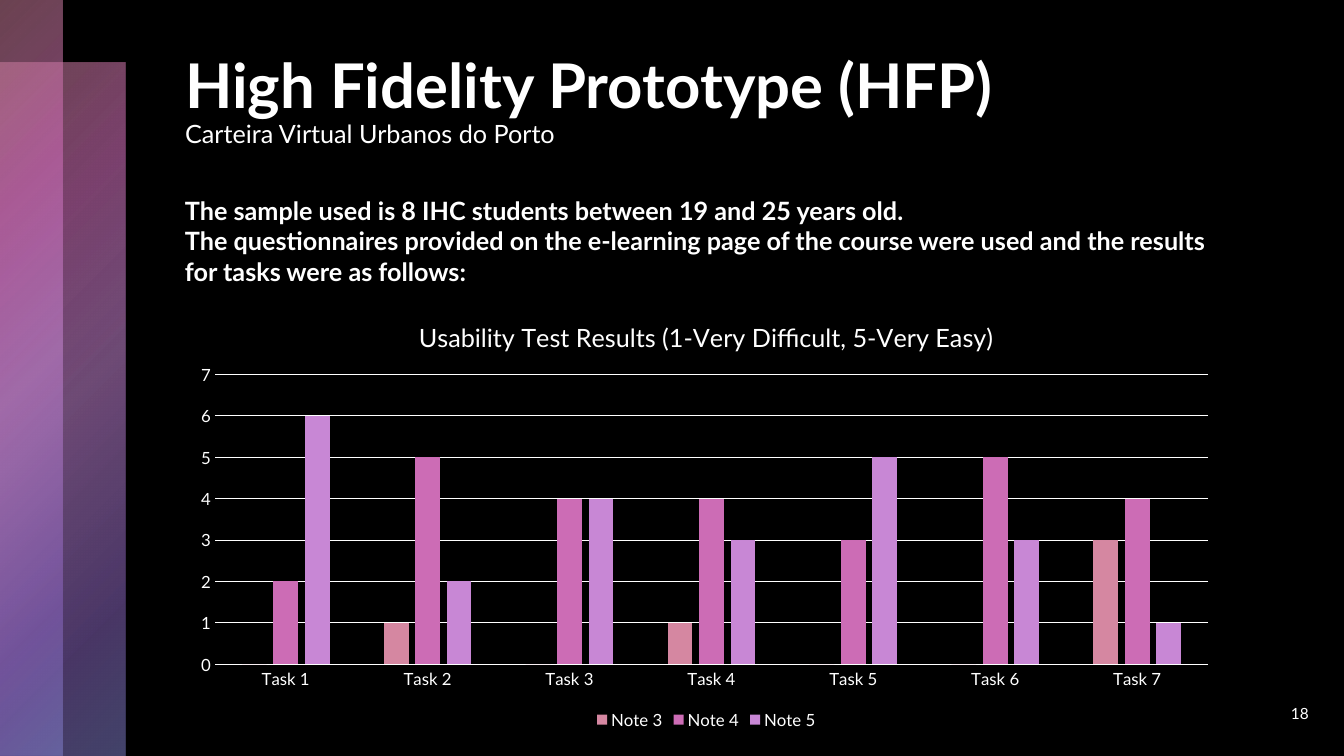
import pptx
import pptx.chart.data
import pptx.dml.color
import pptx.enum.chart
import pptx.enum.shapes
import pptx.enum.text
import pptx.oxml
import pptx.oxml.ns
import pptx.util

Pt = pptx.util.Pt
WHITE = "FFFFFF"
NS = pptx.oxml.ns.nsdecls("a", "c")


def rgb(value):
    return pptx.dml.color.RGBColor.from_string(value)


def style(font, size, bold=False):
    font.name = "Lato"
    font.size = Pt(size)
    font.bold = bold
    font.color.rgb = rgb(WHITE)


prs = pptx.Presentation()
prs.slide_width, prs.slide_height = Pt(960), Pt(540)
s = prs.slides.add_slide(prs.slide_layouts[5])
s.background.fill.solid()
s.background.fill.fore_color.rgb = rgb("000000")

# Two overlapping translucent strips on the left edge
stops = [(0, "D587A1", 50), (25, "CC6CB5", 60), (50, "C887D5", 55),
         (81, "946CCC", 50), (99, "8787D5", 50)]
stops_xml = "".join(
    f'<a:gs pos="{pos * 1000}"><a:srgbClr val="{color}">'
    f'<a:alpha val="{alpha * 1000}"/></a:srgbClr></a:gs>'
    for pos, color, alpha in stops)
for top, width in [(45, 90), (0, 45)]:
    sp = s.shapes.add_shape(pptx.enum.shapes.MSO_SHAPE.RECTANGLE,
                            0, Pt(top), Pt(width), Pt(540 - top))
    sp.shadow.inherit = False
    sp.line.fill.background()
    sp.fill.background()
    spPr = sp.element.spPr
    gradient = pptx.oxml.parse_xml(
        f'<a:gradFill {NS} rotWithShape="1"><a:gsLst>{stops_xml}</a:gsLst>'
        '<a:path path="circle"><a:fillToRect r="100000" b="100000"/></a:path></a:gradFill>')
    spPr.replace(spPr.find(pptx.oxml.ns.qn("a:noFill")), gradient)

# Title with subtitle line
title = s.shapes.title
title.left, title.top, title.width, title.height = Pt(125), Pt(36), Pt(747), Pt(122)
tf = title.text_frame
tf.auto_size = pptx.enum.text.MSO_AUTO_SIZE.NONE
tf.vertical_anchor = pptx.enum.text.MSO_ANCHOR.TOP
tf.text = "High Fidelity Prototype (HFP)\vCarteira Virtual Urbanos do Porto"
p = tf.paragraphs[0]
p.alignment = pptx.enum.text.PP_ALIGN.LEFT
p.line_spacing = 0.9
style(p.runs[0].font, 44, True)
style(p.runs[1].font, 18)

# Introduction
tf = s.shapes.add_textbox(Pt(125), Pt(136), Pt(747), Pt(73)).text_frame
tf.word_wrap = True
tf.text = ("The sample used is 8 IHC students between 19 and 25 years old.\n"
           "The questionnaires provided on the e-learning page of the course "
           "were used and the results for tasks were as follows:")
for p in tf.paragraphs:
    style(p.runs[0].font, 18, True)

# Usability chart
data = pptx.chart.data.CategoryChartData()
data.categories = [f"Task {n}" for n in range(1, 8)]
notes = [("Note 3", [0, 1, 0, 1, 0, 0, 3], "D587A1"),
         ("Note 4", [2, 5, 4, 4, 3, 5, 4], "CC6CB5"),
         ("Note 5", [6, 2, 4, 3, 5, 3, 1], "C887D5")]
for name, values, color in notes:
    data.add_series(name, values)
chart = s.shapes.add_chart(pptx.enum.chart.XL_CHART_TYPE.COLUMN_CLUSTERED,
                           Pt(131), Pt(215), Pt(747), Pt(309), data).chart
style(chart.font, 10)
chart.has_title = True
tf = chart.chart_title.text_frame
tf.text = "Usability Test Results (1-Very Difficult, 5-Very Easy)"
style(tf.paragraphs[0].runs[0].font, 18)
chart.chart_title.include_in_layout = False

chart.has_legend = True
chart.legend.position = pptx.enum.chart.XL_LEGEND_POSITION.BOTTOM
chart.legend.include_in_layout = False
style(chart.legend.font, 12)

plot = chart.plots[0]
plot.gap_width, plot.overlap = 219, -27
plot.vary_by_categories = False
for series, (name, values, color) in zip(plot.series, notes):
    series.format.fill.solid()
    series.format.fill.fore_color.rgb = rgb(color)

# Axes and gridlines
for axis in (chart.category_axis, chart.value_axis):
    axis.major_tick_mark = axis.minor_tick_mark = pptx.enum.chart.XL_TICK_MARK.NONE
    style(axis.tick_labels.font, 12)
axis = chart.value_axis
axis.minimum_scale, axis.maximum_scale, axis.major_unit = 0, 7, 1
axis.has_major_gridlines = True
axis.format.line.fill.background()
for line in (chart.category_axis.format.line, axis.major_gridlines.format.line):
    line.color.rgb = rgb(WHITE)
    line.width = Pt(0.75)

# Fixed plot area inside the chart
plot_area = chart.element.find(".//" + pptx.oxml.ns.qn("c:plotArea"))
for layout in plot_area.findall(pptx.oxml.ns.qn("c:layout")):
    plot_area.remove(layout)
plot_area.insert(0, pptx.oxml.parse_xml(
    f'<c:layout {NS}><c:manualLayout><c:layoutTarget val="inner"/>'
    '<c:xMode val="edge"/><c:yMode val="edge"/><c:x val="0.03"/><c:y val="0.17"/>'
    '<c:w val="0.95"/><c:h val="0.67"/></c:manualLayout></c:layout>'))

# Slide number
tf = s.shapes.add_textbox(Pt(878), Pt(495), Pt(64), Pt(29)).text_frame
tf.word_wrap = True
tf.vertical_anchor = pptx.enum.text.MSO_ANCHOR.MIDDLE
tf.text = "18"
p = tf.paragraphs[0]
p.alignment = pptx.enum.text.PP_ALIGN.RIGHT
style(p.runs[0].font, 11)

prs.save("out.pptx")
